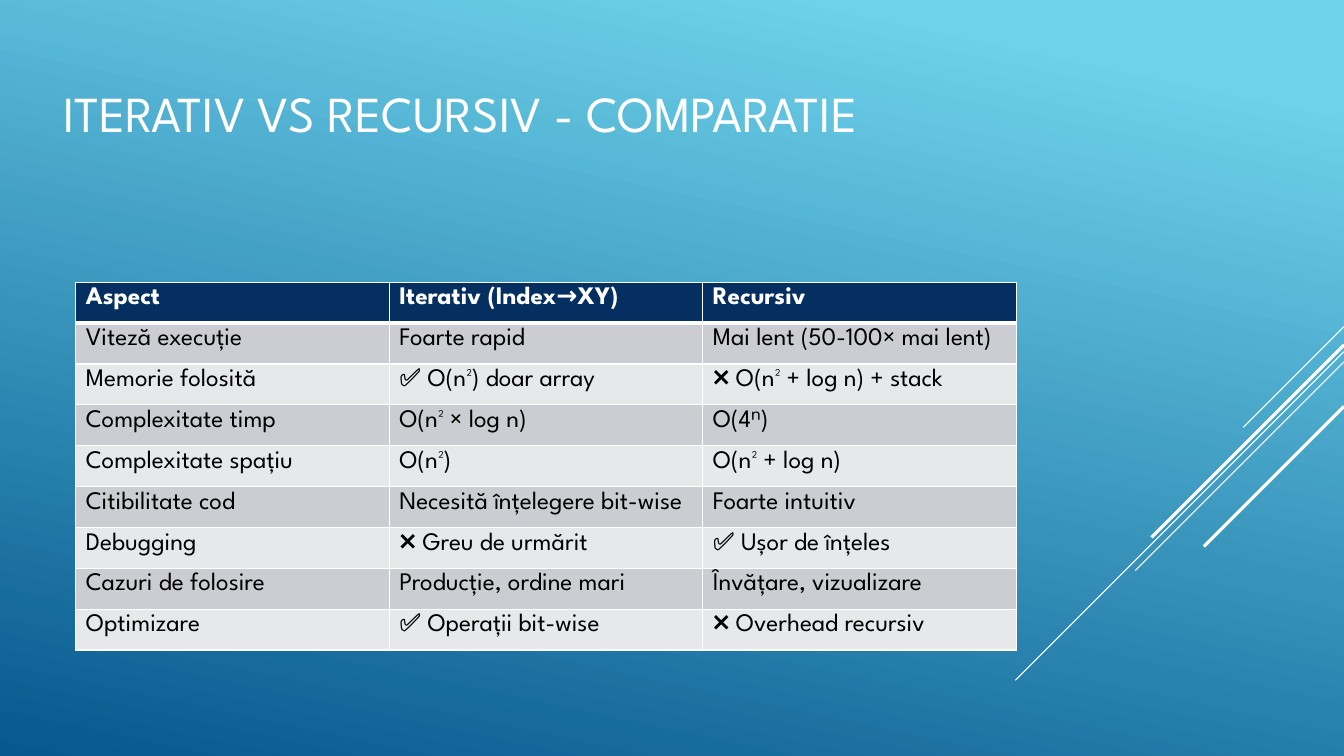
import pptx
import pptx.util
import pptx.dml.color
import pptx.enum.shapes
import pptx.enum.text
import pptx.oxml
import pptx.oxml.ns
import lxml.etree

Cm = pptx.util.Cm
Pt = pptx.util.Pt

HUES = {
    "sky": "6ED2EB", "sea": "06588E", "white": "FFFFFF", "black": "000000",
    "navy": "052F61", "dark": "CCCDD2", "light": "E7E8EA",
}
FACE = "League Spartan"
TITLE = {"name": FACE, "size": Pt(36), "bold": False}
HEAD = {"name": FACE, "size": Pt(18), "bold": True}
BODY = {"name": FACE, "size": Pt(18), "bold": False}

WIDTH, HEIGHT = 33.87, 19.05

# Start height at the right edge, run to the left, line width
RAYS = [
    (8.23, 2.54, 0.75),
    (8.86, 8.28, 0.75),
    (9.12, 5.26, 0.75),
    (8.69, 4.85, 2.25),
    (10.24, 3.53, 2.25),
]

ROWS = [
    ("Aspect", "Iterativ (Index→XY)", "Recursiv"),
    ("Viteză execuție", "Foarte rapid", "Mai lent (50-100× mai lent)"),
    ("Memorie folosită", "✅ O(n²) doar array", "❌ O(n² + log n) + stack"),
    ("Complexitate timp", "O(n² × log n)", "O(4ⁿ)"),
    ("Complexitate spațiu", "O(n²)", "O(n² + log n)"),
    ("Citibilitate cod", "Necesită înțelegere bit-wise", "Foarte intuitiv"),
    ("Debugging", "❌ Greu de urmărit", "✅ Ușor de înțeles"),
    ("Cazuri de folosire", "Producție, ordine mari", "Învățare, vizualizare"),
    ("Optimizare", "✅ Operații bit-wise", "❌ Overhead recursiv"),
]


def hue(name):
    return pptx.dml.color.RGBColor.from_string(HUES[name])


def write(frame, text, look, tint):
    run = frame.paragraphs[0].add_run()
    run.text = text
    for key, value in look.items():
        setattr(run.font, key, value)
    run.font.color.rgb = hue(tint)


def edge(cell, side, width):
    props = cell._tc.get_or_add_tcPr()
    line = lxml.etree.SubElement(
        props, pptx.oxml.ns.qn("a:ln" + side), w=str(Pt(width)))
    fill = lxml.etree.SubElement(line, pptx.oxml.ns.qn("a:solidFill"))
    lxml.etree.SubElement(
        fill, pptx.oxml.ns.qn("a:srgbClr"), val=HUES["white"])


def draw_back(slide):
    fill = slide.background.fill
    fill.gradient()
    fill.gradient_angle = 258
    for stop, (spot, tint) in zip(
            fill.gradient_stops, [(0.1, "sky"), (1, "sea")]):
        stop.position = spot
        stop.color.rgb = hue(tint)


def draw_rays(slide, right):
    for top, run, width in RAYS:
        ray = slide.shapes.add_connector(
            pptx.enum.shapes.MSO_CONNECTOR.STRAIGHT,
            Cm(right), Cm(top), Cm(right - run), Cm(top + run))
        ray.line.width = Pt(width)
        ray.line.color.rgb = hue("white")
        lxml.etree.SubElement(
            ray._element.spPr, pptx.oxml.ns.qn("a:effectLst"))


def draw_title(slide, left, top, width, height):
    box = slide.shapes.add_textbox(Cm(left), Cm(top), Cm(width), Cm(height))
    frame = box.text_frame
    frame.word_wrap = True
    frame.vertical_anchor = pptx.enum.text.MSO_ANCHOR.MIDDLE
    write(frame, "ITERATIV VS RECURSIV - COMPARATIE", TITLE, "white")


def draw_table(slide, left, top, width, height):
    count = len(ROWS)
    table = slide.shapes.add_table(
        count, len(ROWS[0]), Cm(left), Cm(top), Cm(width), Cm(height)).table
    table.horz_banding = False
    for row in table.rows:
        row.height = Cm(height / count)
    for i, texts in enumerate(ROWS):
        if i == 0:
            look, tint, shade = HEAD, "white", "navy"
        else:
            look, tint, shade = BODY, "black", "dark" if i % 2 else "light"
        for j, text in enumerate(texts):
            cell = table.cell(i, j)
            # The rule below the header is thicker
            for side in "LRTB":
                thick = (i, side) in [(0, "B"), (1, "T")]
                edge(cell, side, 3 if thick else 1)
            cell.fill.solid()
            cell.fill.fore_color.rgb = hue(shade)
            write(cell.text_frame, text, look, tint)


def main():
    deck = pptx.Presentation()
    deck.slide_width, deck.slide_height = Cm(WIDTH), Cm(HEIGHT)
    slide = deck.slides.add_slide(deck.slide_layouts[6])
    draw_back(slide)
    draw_rays(slide, WIDTH)
    draw_title(slide, 1.35, 0.74, 23.7, 4.19)
    draw_table(slide, 1.91, 7.11, 23.7, 9.27)
    deck.save("out.pptx")


if __name__ == "__main__":
    main()
